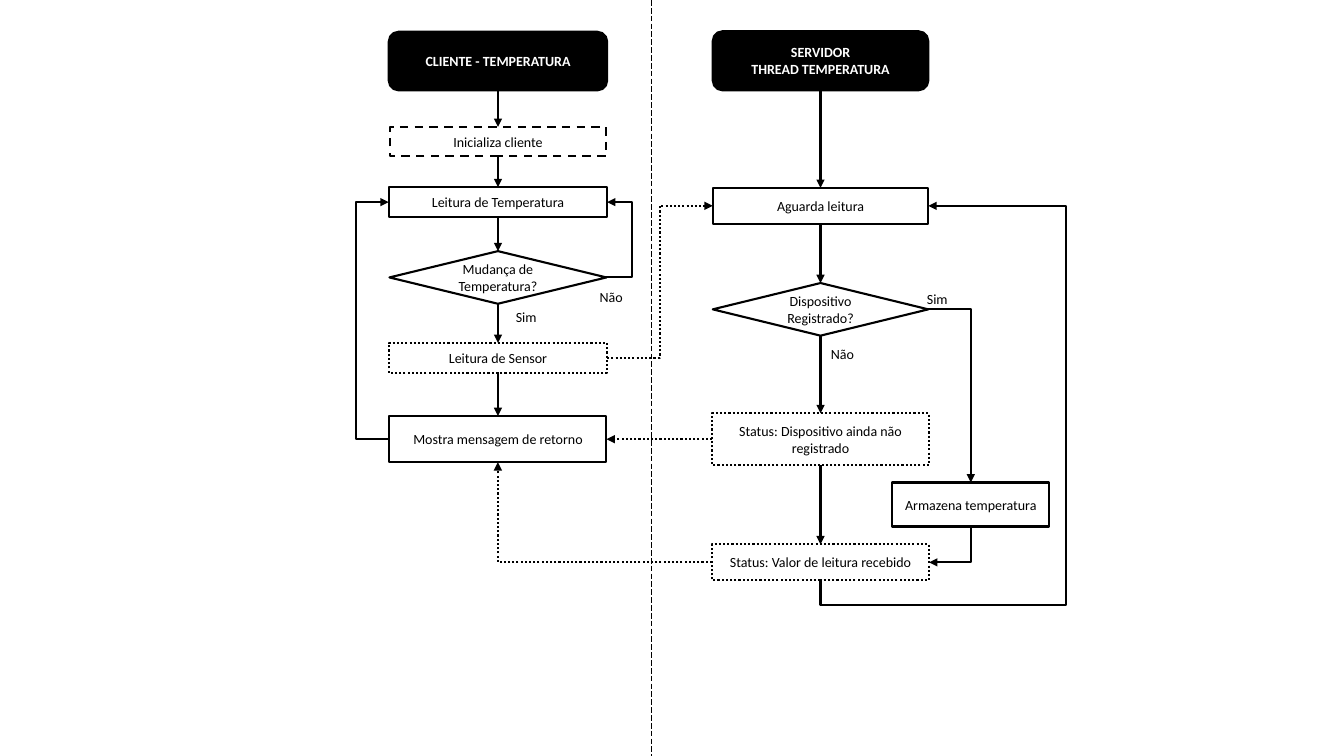
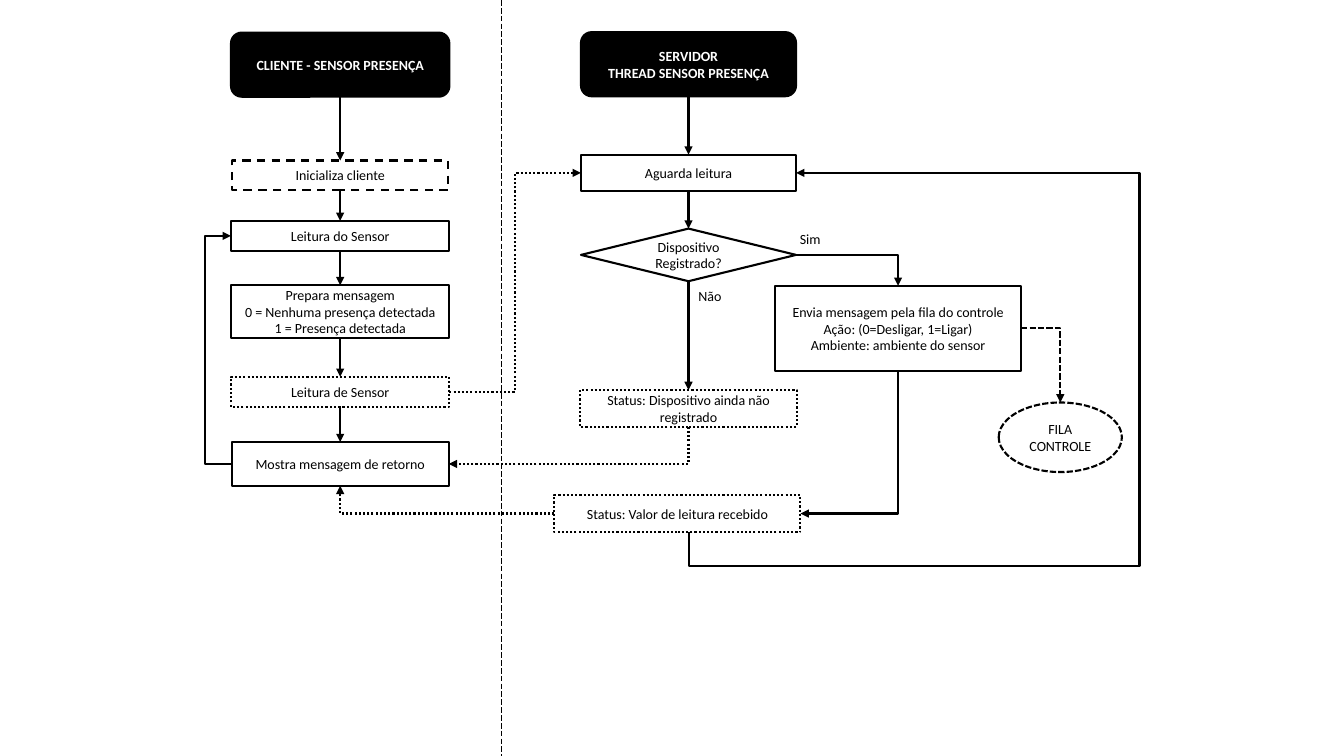
import lxml.etree
import pptx
import pptx.dml.color
import pptx.enum.dml
import pptx.enum.shapes
import pptx.enum.text
import pptx.oxml.ns
import pptx.util

Pt = pptx.util.Pt
SHAPE = pptx.enum.shapes.MSO_SHAPE
CONNECTOR = pptx.enum.shapes.MSO_CONNECTOR
DASH = pptx.enum.dml.MSO_LINE
ALIGN = pptx.enum.text.PP_ALIGN

SLIDE_WIDTH, SLIDE_HEIGHT = 960, 540
BLACK, WHITE = "000000", "FFFFFF"
FONT, FONT_SIZE, LINE_WIDTH = "Calibri", 10, 1.5
LABEL_WIDTH, LABEL_HEIGHT = 50, 19.4
TOP, LEFT, BOTTOM, RIGHT = range(4)

KINDS = {
    "header": (SHAPE.ROUNDED_RECTANGLE, None),
    "step": (SHAPE.RECTANGLE, None),
    "start": (SHAPE.RECTANGLE, DASH.DASH),
    "message": (SHAPE.RECTANGLE, DASH.ROUND_DOT),
    "decision": (SHAPE.DIAMOND, None),
    "queue": (SHAPE.OVAL, DASH.SQUARE_DOT),
}

# Boxes: name -> kind, text, centre x, top, width, height
# Routes: start, side, end, side, dash, bends, shift of the start point
CLIENT_1, SERVER_1, STORE_X = 355.7, 586.1, 693.4
CLIENT_2, SERVER_2, QUEUE_X = 243, 491.8, 757.4

FLOWS = [
    {
        "divider": 465,
        "boxes": {
            "client": ("header", "CLIENTE - TEMPERATURA", CLIENT_1, 22.7, 156, 41.8),
            "server": ("header", "SERVIDOR\nTHREAD TEMPERATURA", SERVER_1, 22.3, 154, 42.2),
            "initialize": ("start", "Inicializa cliente", CLIENT_1, 90.6, 154, 21.2),
            "read": ("step", "Leitura de Temperatura", CLIENT_1, 133.7, 156, 21.4),
            "changed": ("decision", "Mudança de Temperatura?", CLIENT_1, 179.4, 155, 37.6),
            "send": ("message", "Leitura de Sensor", CLIENT_1, 244.9, 156, 21.4),
            "show": ("step", "Mostra mensagem de retorno", CLIENT_1, 297.2, 155, 33),
            "wait": ("step", "Aguarda leitura", SERVER_1, 134.2, 154, 25.8),
            "registered": ("decision", "Dispositivo Registrado?", SERVER_1, 202.2, 154, 37.6),
            "unknown": ("message", "Status: Dispositivo ainda não registrado",
                        SERVER_1, 295.2, 155, 37),
            "store": ("step", "Armazena temperatura", STORE_X, 344.7, 112.4, 31.4),
            "received": ("message", "Status: Valor de leitura recebido",
                         SERVER_1, 388.8, 155, 25.8),
        },
        "chains": [
            ("client", "initialize", "read", "changed", "send", "show"),
            ("server", "wait", "registered", "unknown", "received"),
        ],
        "routes": [
            ("changed", RIGHT, "read", RIGHT, None, (451.3,), 0),
            ("show", LEFT, "read", LEFT, None, (255,), 0),
            ("send", RIGHT, "wait", LEFT, DASH.ROUND_DOT, (471.2,), 0),
            ("registered", RIGHT, "store", TOP, None, (), 0),
            ("store", BOTTOM, "received", RIGHT, None, (), 0),
            ("unknown", LEFT, "show", RIGHT, DASH.ROUND_DOT, (), 0),
            ("received", LEFT, "show", BOTTOM, DASH.ROUND_DOT, (), 0),
            ("received", BOTTOM, "wait", RIGHT, None, (432.2, 761.6), 0),
        ],
        "labels": [("Não", 421.3, 202.2), ("Não", 586.5, 243.2),
                   ("Sim", 361.4, 217.2), ("Sim", 655, 204.2)],
    },
    {
        "divider": 358,
        "boxes": {
            "client": ("header", "CLIENTE - SENSOR PRESENÇA", CLIENT_2, 23.3, 156, 45.8),
            "server": ("header", "SERVIDOR\nTHREAD SENSOR PRESENÇA", SERVER_2, 23, 153.6, 45.8),
            "initialize": ("start", "Inicializa cliente", CLIENT_2, 114.7, 154, 21.2),
            "read": ("step", "Leitura do Sensor", CLIENT_2, 157.8, 156, 21.4),
            "prepare": ("step", "Prepara mensagem\n0 = Nenhuma presença detectada\n"
                        "1 = Presença detectada", CLIENT_2, 203.7, 156, 37.6),
            "send": ("message", "Leitura de Sensor", CLIENT_2, 269.2, 156, 21.4),
            "show": ("step", "Mostra mensagem de retorno", CLIENT_2, 315.8, 155, 31.2),
            "wait": ("step", "Aguarda leitura", SERVER_2, 110.5, 153.6, 26),
            "registered": ("decision", "Dispositivo Registrado?", SERVER_2, 163.3, 153.6, 37.6),
            "unknown": ("message", "Status: Dispositivo ainda não registrado",
                        SERVER_2, 278.6, 155, 26.2),
            "forward": ("step", "Envia mensagem pela fila do controle\n"
                        "Ação: (0=Desligar, 1=Ligar)\nAmbiente: ambiente do sensor",
                        641.5, 204.2, 175.8, 60.8),
            "queue": ("queue", "FILA\nCONTROLE", QUEUE_X, 287.5, 88, 49.7),
            "received": ("message", "Status: Valor de leitura recebido",
                         483.9, 353.6, 175.8, 26.4),
        },
        "chains": [
            ("client", "initialize", "read", "prepare", "send", "show"),
            ("server", "wait", "registered", "unknown"),
        ],
        "routes": [
            ("show", LEFT, "read", LEFT, None, (147,), 0),
            ("send", RIGHT, "wait", LEFT, DASH.ROUND_DOT, (368,), 0),
            ("unknown", BOTTOM, "show", RIGHT, DASH.ROUND_DOT, (), 0),
            ("received", LEFT, "show", BOTTOM, DASH.ROUND_DOT, (), 0),
            ("registered", RIGHT, "forward", TOP, None, (), 0),
            ("forward", BOTTOM, "received", RIGHT, None, (), 0),
            ("forward", RIGHT, "queue", TOP, DASH.SQUARE_DOT, (), 0),
            ("received", BOTTOM, "wait", RIGHT, None, (404.6, 814), 7.9),
        ],
        "labels": [("Não", 491.8, 201.5), ("Sim", 564.2, 160.8)],
    },
]


def color(value):
    return pptx.dml.color.RGBColor.from_string(value)


def tag(name):
    return pptx.oxml.ns.qn("a:" + name)


def format_line(line, width=LINE_WIDTH, dash=None):
    line.color.rgb = color(BLACK)
    line.width = Pt(width)
    if dash is not None:
        line.dash_style = dash


def write_text(shape, text, text_color, bold, alignment):
    shape.text_frame.word_wrap = True
    shape.text_frame.text = text
    for paragraph in shape.text_frame.paragraphs:
        paragraph.alignment = alignment
        for run in paragraph.runs:
            run.font.name = FONT
            run.font.size = Pt(FONT_SIZE)
            run.font.bold = bold
            run.font.color.rgb = color(text_color)


def add_box(slide, kind, text, center, top, width, height):
    preset, dash = KINDS[kind]
    header = kind == "header"
    shape = slide.shapes.add_shape(
        preset, Pt(center - width / 2), Pt(top), Pt(width), Pt(height))
    shape.shadow.inherit = False
    shape.fill.solid()
    shape.fill.fore_color.rgb = color(BLACK if header else WHITE)
    format_line(shape.line, dash=dash)
    shape.text_frame.vertical_anchor = pptx.enum.text.MSO_ANCHOR.MIDDLE
    write_text(shape, text, WHITE if header else BLACK, header, ALIGN.CENTER)
    return shape


def add_label(slide, text, left, top):
    label = slide.shapes.add_textbox(Pt(left), Pt(top), Pt(LABEL_WIDTH), Pt(LABEL_HEIGHT))
    write_text(label, text, BLACK, False, ALIGN.LEFT)
    label.text_frame.auto_size = pptx.enum.text.MSO_AUTO_SIZE.SHAPE_TO_FIT_TEXT


def add_line(slide, kind, begin, end, width=LINE_WIDTH, dash=None, arrow=True):
    connector = slide.shapes.add_connector(kind, *begin, *end)
    format_line(connector.line, width, dash)
    properties = connector._element.spPr
    if arrow:
        lxml.etree.SubElement(properties.find(tag("ln")), tag("tailEnd"), type="triangle")
    lxml.etree.SubElement(properties, tag("effectLst"))
    return connector


def side_point(shape, side):
    x = shape.left + {LEFT: 0, RIGHT: shape.width}.get(side, shape.width // 2)
    y = shape.top + {TOP: 0, BOTTOM: shape.height}.get(side, shape.height // 2)
    return x, y


def bend(connector, preset, ratios=()):
    geometry = connector._element.spPr.find(tag("prstGeom"))
    geometry.set("prst", preset)
    for number, ratio in enumerate(ratios, 1):
        name = "adj" if len(ratios) == 1 else f"adj{number}"
        if preset == "bentConnector3":
            name = "adj1"
        lxml.etree.SubElement(geometry.find(tag("avLst")), tag("gd"),
                              name=name, fmla=f"val {round(ratio * 100000)}")


def turn_quarter(connector, begin, end, flipped):
    width, height = abs(end[1] - begin[1]), abs(end[0] - begin[0])
    connector.left = (begin[0] + end[0] - width) // 2
    connector.top = (begin[1] + end[1] - height) // 2
    connector.width, connector.height = width, height
    transform = connector._element.spPr.find(tag("xfrm"))
    transform.set("rot", "5400000")
    for name in ("flipH", "flipV"):
        transform.set(name, "1" if flipped else "0")


def add_route(slide, boxes, start, start_side, finish, finish_side,
              dash=None, bends=(), shift=0):
    begin = side_point(boxes[start], start_side)
    begin = (begin[0] + Pt(shift), begin[1])
    end = side_point(boxes[finish], finish_side)
    straight = not bends and (start_side + finish_side) % 2 == 0
    kind = CONNECTOR.STRAIGHT if straight else CONNECTOR.ELBOW
    connector = add_line(slide, kind, begin, end, dash=dash)
    if not shift:
        connector.begin_connect(boxes[start], start_side)
    connector.end_connect(boxes[finish], finish_side)
    if len(bends) == 2:
        low, far = map(Pt, bends)
        bend(connector, "bentConnector4",
             ((low - begin[1]) / (end[1] - begin[1]), (far - begin[0]) / (end[0] - begin[0])))
        turn_quarter(connector, begin, end, True)
    elif bends:
        bend(connector, "bentConnector3", ((Pt(bends[0]) - begin[0]) / (end[0] - begin[0]),))
    elif not straight:
        bend(connector, "bentConnector2")
        if start_side == BOTTOM:
            turn_quarter(connector, begin, end, False)


def build_flow(presentation, flow):
    slide = presentation.slides.add_slide(presentation.slide_layouts[6])
    divider = Pt(flow["divider"])
    add_line(slide, CONNECTOR.STRAIGHT, (divider, 0), (divider, Pt(SLIDE_HEIGHT)),
             0.5, DASH.LONG_DASH, False)
    boxes = {name: add_box(slide, *box) for name, box in flow["boxes"].items()}
    for chain in flow["chains"]:
        for start, finish in zip(chain, chain[1:]):
            add_route(slide, boxes, start, BOTTOM, finish, TOP)
    for route in flow["routes"]:
        add_route(slide, boxes, *route)
    for label in flow["labels"]:
        add_label(slide, *label)


def main():
    presentation = pptx.Presentation()
    presentation.slide_width = Pt(SLIDE_WIDTH)
    presentation.slide_height = Pt(SLIDE_HEIGHT)
    for flow in FLOWS:
        build_flow(presentation, flow)
    presentation.save("out.pptx")


if __name__ == "__main__":
    main()
